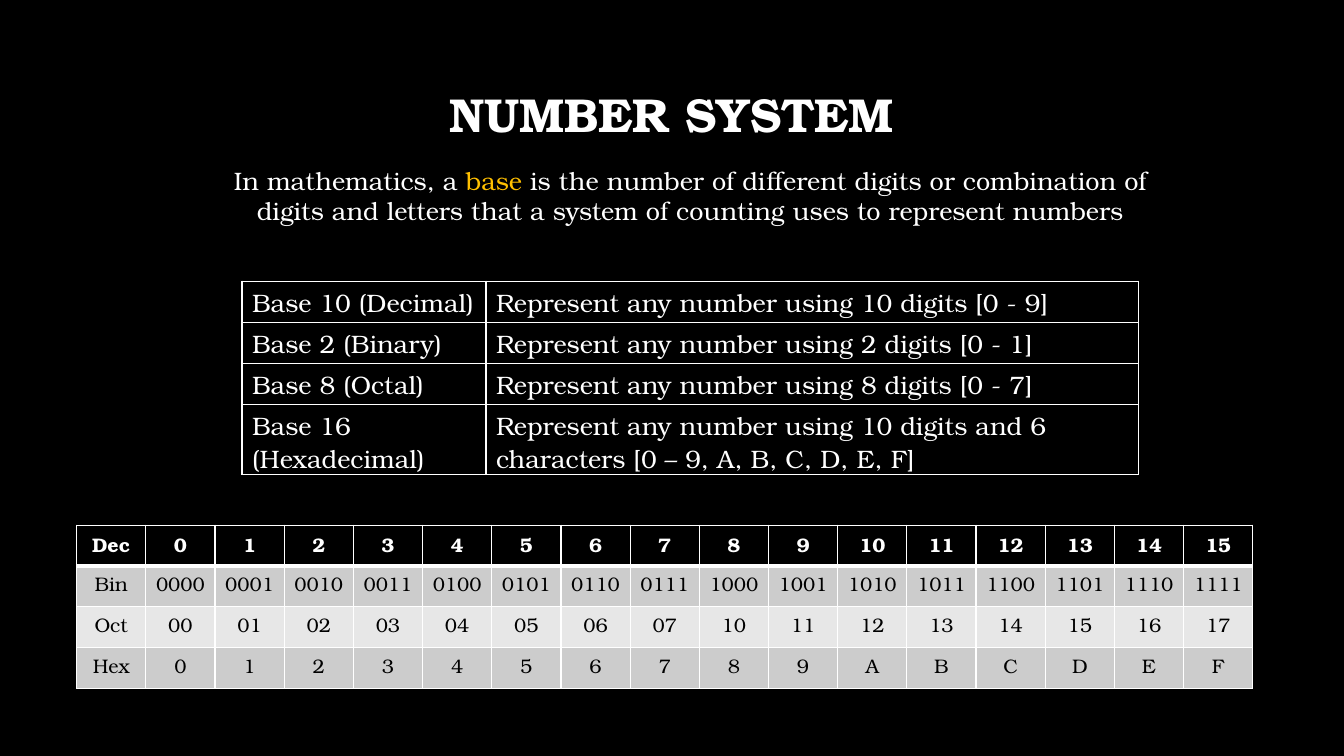
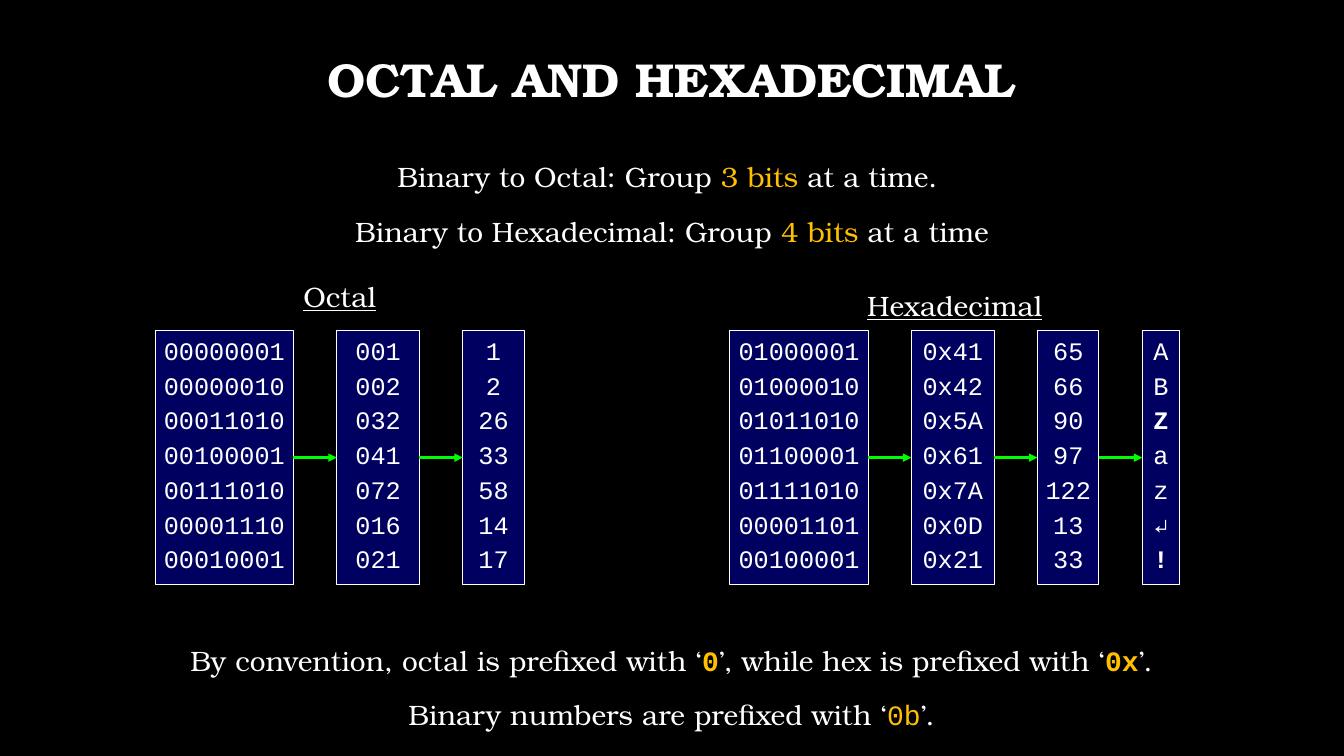
from dataclasses import dataclass

from pptx import Presentation
from pptx import util as u
from pptx.dml.color import RGBColor
from pptx.enum import shapes, text
from pptx.oxml import parse_xml
from pptx.oxml.ns import nsdecls, qn
from lxml import etree


@dataclass(frozen=True)
class Theme:
    background: str = "000000"
    ink: str = "FFFFFF"
    dark_ink: str = "000000"
    accent: str = "FFC000"
    panel: str = "000060"
    arrow: str = "00FF00"
    band_dark: str = "CCCCCC"
    band_light: str = "E7E7E7"
    serif: str = "TeX Gyre Bonum"
    mono: str = "Courier New"
    title_size: int = 34
    note_size: int = 20
    body_size: int = 18
    grid_size: int = 14


THEME = Theme()
CENTER = text.PP_ALIGN.CENTER
LEFT = text.PP_ALIGN.LEFT
ACCENT = {"color": THEME.accent}
CODE = {"color": THEME.accent, "font": THEME.mono}
BOLD = {"bold": True}

BASES = [
    ("Base 10 (Decimal)", "Represent any number using 10 digits [0 - 9]"),
    ("Base 2 (Binary)", "Represent any number using 2 digits [0 - 1]"),
    ("Base 8 (Octal)", "Represent any number using 8 digits [0 - 7]"),
    ("Base 16 (Hexadecimal)",
     "Represent any number using 10 digits and 6 characters [0 – 9, A, B, C, D, E, F]"),
]
OCTAL = [
    (1.37, ["00000001", "00000010", "00011010", "00100001", "00111010", "00001110", "00010001"]),
    (0.82, ["001", "002", "032", "041", "072", "016", "021"]),
    (0.61, ["1", "2", "26", "33", "58", "14", "17"]),
]
HEXADECIMAL = [
    (1.37, ["01000001", "01000010", "01011010", "01100001", "01111010", "00001101", "00100001"]),
    (0.82, ["0x41", "0x42", "0x5A", "0x61", "0x7A", "0x0D", "0x21"]),
    (0.61, ["65", "66", "90", "97", "122", "13", "33"]),
    (0.37, ["A", "B", [("Z", BOLD)], "a", "z", [("↵", BOLD)], [("!", BOLD)]]),
]


def inches(*lengths):
    return [u.Inches(length) for length in lengths]


def color(value):
    return RGBColor.from_string(value)


def write(frame, paragraphs, size, font=THEME.serif, ink=THEME.ink, bold=False,
          align=CENTER, spacing=1.0, gap=0):
    """Each paragraph is a string or a list of (text, style) pairs."""
    for index, content in enumerate(paragraphs):
        para = frame.paragraphs[0] if index == 0 else frame.add_paragraph()
        para.alignment, para.line_spacing = align, spacing
        para.space_before = u.Pt(gap if index else 0)
        spans = [(content, {})] if isinstance(content, str) else content
        for words, style in spans:
            span = para.add_run()
            span.text = words
            span.font.name = style.get("font", font)
            span.font.size = u.Pt(size)
            span.font.bold = style.get("bold", bold)
            span.font.underline = style.get("underline", False)
            span.font.color.rgb = color(style.get("color", ink))


def add_page(deck, title, top):
    page = deck.slides.add_slide(deck.slide_layouts.get_by_name("Title Only"))
    box = page.shapes.title
    box.left, box.top, box.width, box.height = inches(1, top, 11.32, 1.45)
    frame = box.text_frame
    frame.auto_size = text.MSO_AUTO_SIZE.NONE
    frame.vertical_anchor = text.MSO_ANCHOR.MIDDLE
    write(frame, [title], THEME.title_size, bold=True, spacing=0.9)
    return page


def add_text(page, box, paragraphs, size, **style):
    frame = page.shapes.add_textbox(*inches(*box)).text_frame
    frame.word_wrap = True
    write(frame, paragraphs, size, **style)


def add_note(page, box, paragraphs):
    add_text(page, box, paragraphs, THEME.note_size, spacing=1.2, gap=10)


# Tables
def border_cell(cell, bottom=1):
    props = cell._tc.get_or_add_tcPr()
    for index, (side, points) in enumerate([("L", 1), ("R", 1), ("T", 1), ("B", bottom)]):
        props.insert(index, parse_xml(
            f'<a:ln{side} {nsdecls("a")} w="{u.Pt(points)}"><a:solidFill>'
            f'<a:srgbClr val="{THEME.ink}"/></a:solidFill></a:ln{side}>'))


def add_grid(page, left, top, widths, heights):
    table = page.shapes.add_table(
        len(heights), len(widths), *inches(left, top, sum(widths), sum(heights))).table
    table.first_row = table.horz_banding = False
    for column, width in zip(table.columns, widths):
        column.width = u.Inches(width)
    for row, height in zip(table.rows, heights):
        row.height = u.Inches(height)
    return table


def add_base_table(page, left, top):
    table = add_grid(page, left, top, [2.42, 6.47], [0.41, 0.41, 0.4, 0.7])
    for row, entries in zip(table.rows, BASES):
        for cell, words in zip(row.cells, entries):
            cell.fill.background()
            cell.margin_top, cell.margin_bottom = inches(0.04, 0)
            write(cell.text_frame, [words], THEME.body_size, align=LEFT)
            border_cell(cell)


def add_digit_table(page, left, top, width):
    numbers = range(16)
    rows = [(name, [format(number, code) for number in numbers]) for name, code in
            [("Dec", "d"), ("Bin", "04b"), ("Oct", "02o"), ("Hex", "X")]]
    fills = [THEME.background, THEME.band_dark, THEME.band_light, THEME.band_dark]
    count = len(numbers) + 1
    table = add_grid(page, left, top, [width / count] * count, [1.62 / len(rows)] * len(rows))
    for index, (name, digits) in enumerate(rows):
        header = index == 0
        for cell, words in zip(table.rows[index].cells, [name] + digits):
            cell.fill.solid()
            cell.fill.fore_color.rgb = color(fills[index])
            cell.margin_left = cell.margin_right = u.Inches(0.05)
            write(cell.text_frame, [words], THEME.grid_size, bold=header,
                  ink=THEME.ink if header else THEME.dark_ink)
            border_cell(cell, bottom=3 if header else 1)


# Conversion columns
def add_panel(page, box, values):
    panel = page.shapes.add_shape(shapes.MSO_SHAPE.RECTANGLE, *inches(*box))
    panel.shadow.inherit = False
    panel.fill.solid()
    panel.fill.fore_color.rgb = color(THEME.panel)
    panel.line.color.rgb = color(THEME.ink)
    panel.line.width = u.Pt(0.75)
    frame = panel.text_frame
    frame.margin_left = frame.margin_right = u.Inches(0.08)
    frame.margin_top = frame.margin_bottom = 0
    frame.vertical_anchor = text.MSO_ANCHOR.TOP
    frame.word_wrap = False
    write(frame, values, THEME.body_size, font=THEME.mono, spacing=1.15)
    return panel


def add_arrow(page, start, end):
    arrow = page.shapes.add_connector(shapes.MSO_CONNECTOR.STRAIGHT, 0, 0, 0, 0)
    arrow.begin_connect(start, 3)
    arrow.end_connect(end, 1)
    arrow.line.color.rgb = color(THEME.arrow)
    arrow.line.width = u.Pt(2)
    etree.SubElement(arrow.line._get_or_add_ln(), qn("a:tailEnd"), type="triangle")
    etree.SubElement(arrow._element.spPr, qn("a:effectLst"))


def add_conversion(page, left, top, columns, heading, heading_top, heading_width):
    add_note(page, (left, heading_top, heading_width, 0.52),
             [[(heading, {"underline": True})]])
    previous = None
    for width, values in columns:
        panel = add_panel(page, (left, top, width, 2.52), values)
        if previous is not None:
            add_arrow(page, previous, panel)
        previous = panel
        left += width + 0.43


# Slides
def build_number_system(deck):
    page = add_page(deck, "NUMBER SYSTEM", 0.44)
    add_text(page, (1.99, 1.59, 9.71, 0.71), [[
        ("In mathematics, a ", {}), ("base", ACCENT),
        (" is the number of different digits or combination of digits and letters "
         "that a system of counting uses to represent numbers", {})]], THEME.body_size)
    add_base_table(page, 2.4, 2.79)
    add_digit_table(page, 0.76, 5.21, 11.67)


def build_octal_and_hexadecimal(deck):
    page = add_page(deck, "OCTAL AND HEXADECIMAL", 0.09)
    add_note(page, (1.96, 1.47, 9.41, 1.28), [
        [("Binary to Octal: Group ", {}), ("3 bits", ACCENT), (" at a time. ", {})],
        [("Binary to Hexadecimal: Group ", {}), ("4 bits ", ACCENT), ("at a time", {})]])
    add_conversion(page, 1.54, 3.28, OCTAL, "Octal", 2.66, 3.66)
    add_conversion(page, 7.24, 3.28, HEXADECIMAL, "Hexadecimal", 2.75, 4.46)
    add_note(page, (1, 6.27, 11.32, 1.03), [
        [("By convention, octal is prefixed with ‘", {}), ("0", CODE | BOLD),
         ("’, while hex is prefixed with ‘", {}), ("0x", CODE | BOLD), ("’.", {})],
        [("Binary numbers are prefixed with ‘", {}), ("0b", CODE), ("’.", {})]])


def main():
    deck = Presentation()
    deck.slide_width, deck.slide_height = inches(13.33, 7.5)
    backdrop = deck.slide_master.background.fill
    backdrop.solid()
    backdrop.fore_color.rgb = color(THEME.background)
    build_number_system(deck)
    build_octal_and_hexadecimal(deck)
    deck.save("out.pptx")


if __name__ == "__main__":
    main()
